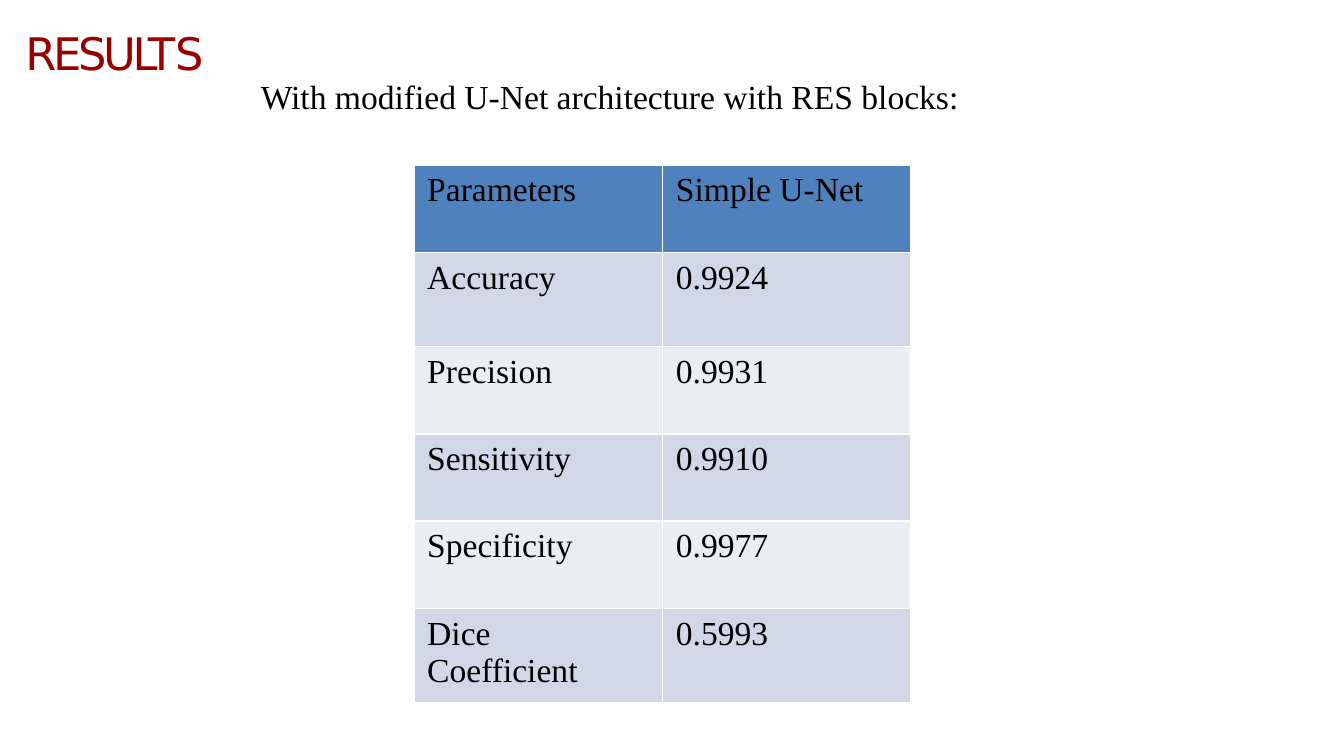
from lxml import etree
from pptx import Presentation
from pptx.dml.color import RGBColor
from pptx.enum.text import PP_ALIGN
from pptx.oxml.ns import qn
from pptx.util import Cm, Pt

CENTER = PP_ALIGN.CENTER
LEFT = PP_ALIGN.LEFT

COLORS = {
    "title": "980000",
    "text": "000000",
    "header": "4F81BD",
    "dark_band": "D0D8E8",
    "light_band": "E9EDF4",
    "border": "FFFFFF",
}
TITLE = {"name": "DejaVu Sans", "size": Pt(24), "bold": False}
BODY = {"name": "Times New Roman", "size": Pt(18), "bold": False}

RESULTS = [
    ("Parameters", "Simple U-Net"),
    ("Accuracy", "0.9924"),
    ("Precision", "0.9931"),
    ("Sensitivity", "0.9910"),
    ("Specificity", "0.9977"),
    ("Dice Coefficient", "0.5993"),
]
ROW_HEIGHTS = [1.65, 1.78, 1.65, 1.65, 1.65, 1.78]
COLUMN_WIDTH = 4.7


class SlideBuilder:
    def __init__(self, slide):
        self.s = slide

    def run(self, p, text, style, color, spacing=None):
        r = p.add_run()
        r.text = text
        for key, value in style.items():
            setattr(r.font, key, value)
        r.font.color.rgb = RGBColor.from_string(COLORS[color])
        if spacing is not None:
            r.font._element.set("spc", str(int(spacing * 100)))

    def text_box(self, box, align, margins=None):
        sp = self.s.shapes.add_textbox(*map(Cm, box))
        tf = sp.text_frame
        tf.word_wrap = True
        for key, value in (margins or {}).items():
            setattr(tf, key, Cm(value))
        p = tf.paragraphs[0]
        p.alignment = align
        return p

    def borders(self, cell):
        tc_pr = cell._tc.get_or_add_tcPr()
        for side in ("lnL", "lnR", "lnT", "lnB"):
            ln = etree.SubElement(tc_pr, qn(f"a:{side}"), w=str(Pt(1)))
            fill = etree.SubElement(ln, qn("a:solidFill"))
            etree.SubElement(fill, qn("a:srgbClr"), val=COLORS["border"])

    def cell(self, cell, text, fill):
        self.borders(cell)
        cell.fill.solid()
        cell.fill.fore_color.rgb = RGBColor.from_string(COLORS[fill])
        self.run(cell.text_frame.paragraphs[0], text, BODY, "text")

    def table(self, left, top, rows, heights, width):
        cols = len(rows[0])
        size = (left, top, width * cols, sum(heights))
        table = self.s.shapes.add_table(len(rows), cols, *map(Cm, size)).table
        for column in table.columns:
            column.width = Cm(width)
        for i, (values, height) in enumerate(zip(rows, heights)):
            table.rows[i].height = Cm(height)
            band = "dark_band" if i % 2 else "light_band"
            for j, value in enumerate(values):
                self.cell(table.cell(i, j), value, band if i else "header")


def main():
    prs = Presentation()
    prs.slide_width, prs.slide_height = Cm(25.4), Cm(14.29)
    slide = SlideBuilder(prs.slides.add_slide(prs.slide_layouts[6]))

    margins = {"margin_left": 0, "margin_top": 0.03, "margin_right": 0, "margin_bottom": 0}
    p = slide.text_box((0.48, 0.46, 3.73, 1.07), LEFT, margins)
    p.space_before = Pt(1)
    slide.run(p, "RESULT", TITLE, "title", spacing=-1.8)
    slide.run(p, "S", TITLE, "title", spacing=-1.4)

    slide.table(7.82, 3.12, RESULTS, ROW_HEIGHTS, COLUMN_WIDTH)

    p = slide.text_box((4.01, 1.32, 15.04, 1.02), CENTER)
    slide.run(p, "With modified U-Net architecture with RES blocks:", BODY, "text")

    prs.save("out.pptx")


if __name__ == "__main__":
    main()
